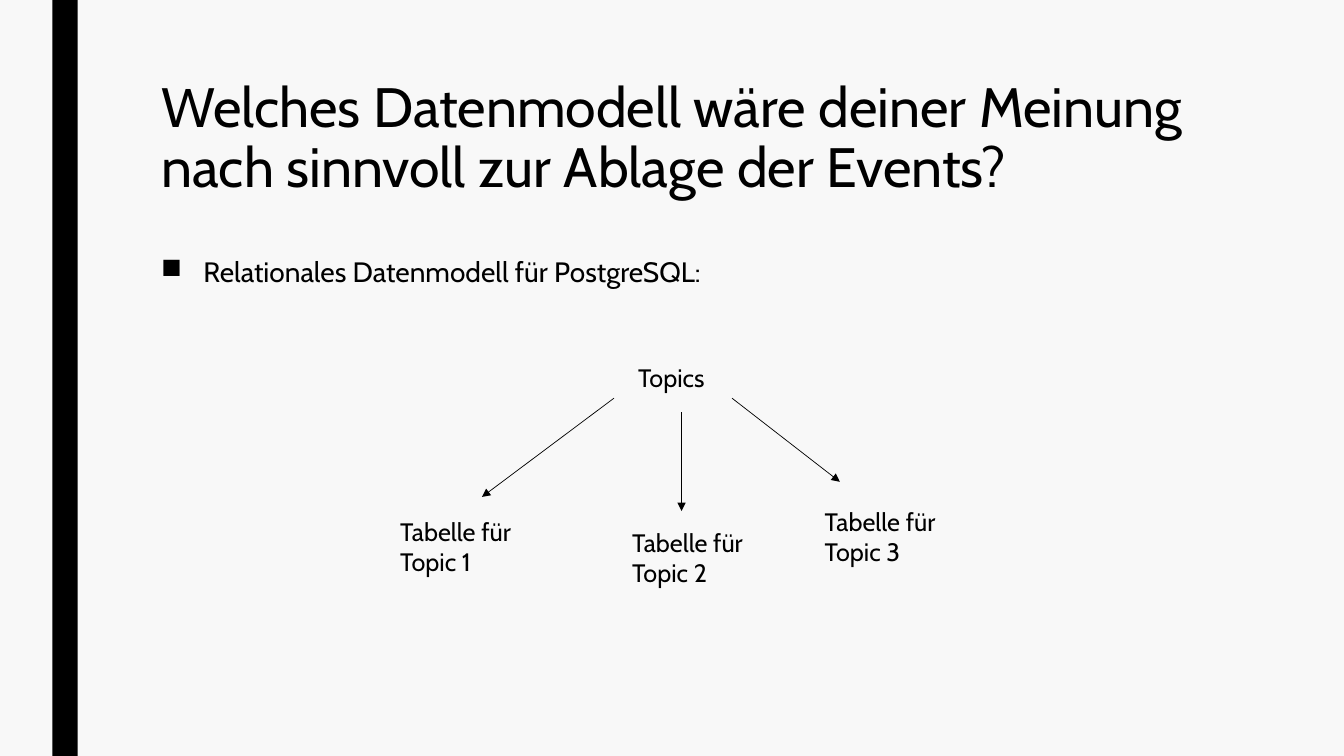
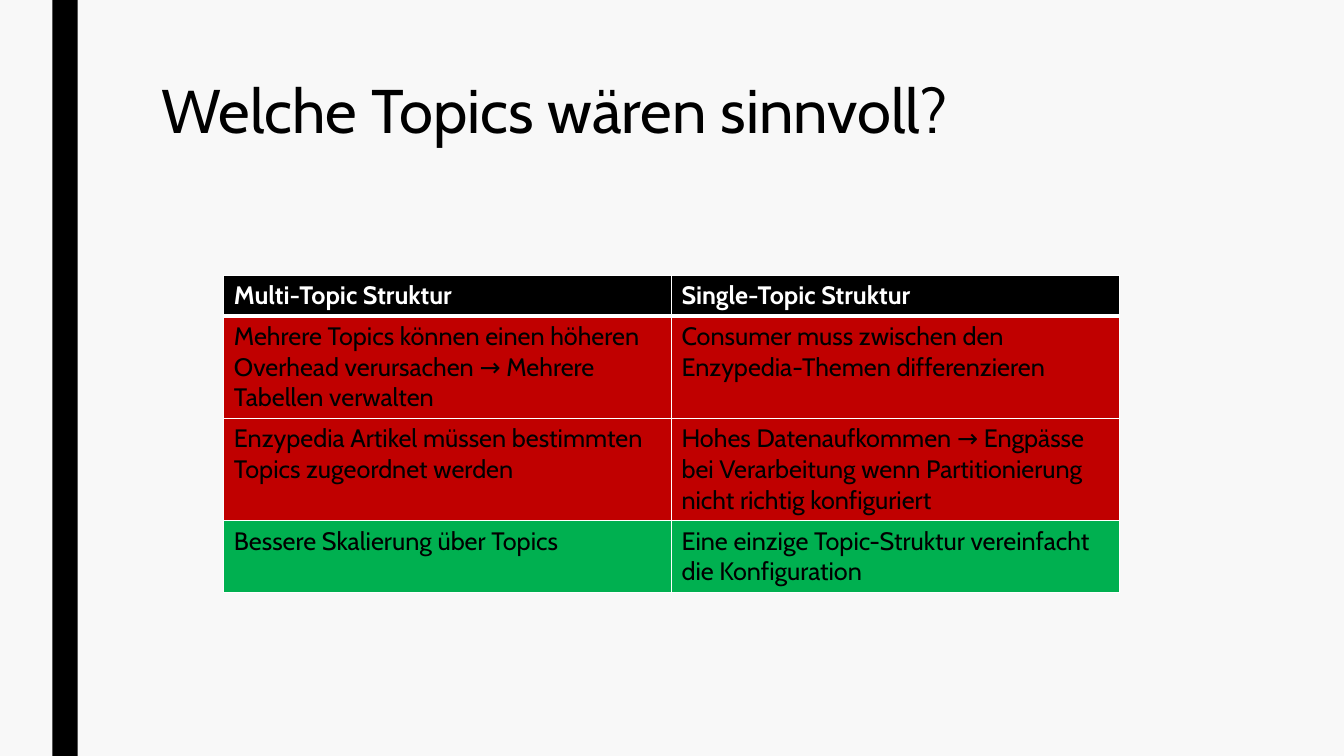
from pptx import Presentation
from pptx.dml.color import RGBColor
from pptx.enum.shapes import MSO_CONNECTOR as Connector, MSO_SHAPE as Preset
from pptx.enum.text import MSO_ANCHOR as Anchor, MSO_AUTO_SIZE as AutoSize, PP_ALIGN as Align
from pptx.oxml.ns import qn
from pptx.util import Inches, Pt
from lxml.etree import SubElement

COLORS = {"paper": "F8F8F8", "ink": "000000", "white": "FFFFFF",
          "con": "C00000", "pro": "00B050"}
FONT = "Cabin"


def color(name):
    return RGBColor.from_string(COLORS[name])


def apply(target, **values):
    for name, value in values.items():
        setattr(target, name, value)


class Deck:
    """Holds the shared style and the current slide."""

    def __init__(self):
        self.deck = Presentation()
        apply(self.deck, slide_width=Inches(13.33), slide_height=Inches(7.5))
        fill = self.deck.slide_master.background.fill
        fill.solid()
        fill.fore_color.rgb = color("paper")
        self.page = None

    def style(self, font, size, ink="ink", bold=False):
        apply(font, name=FONT, size=Pt(size), bold=bold)
        font.color.rgb = color(ink)

    def add_page(self, title, size=44):
        self.page = self.deck.slides.add_slide(self.deck.slide_layouts[5])
        # Side band
        band = self.page.shapes.add_shape(
            Preset.RECTANGLE, Inches(0.52), 0, Inches(0.25), self.deck.slide_height)
        band.shadow.inherit = False
        band.fill.solid()
        band.fill.fore_color.rgb = color("ink")
        band.line.fill.background()
        # Title
        box = self.page.shapes.title
        apply(box, left=Inches(1.5), top=Inches(0.75),
              width=Inches(10.5), height=Inches(1.62))
        frame = box.text_frame
        apply(frame, text=title, word_wrap=True,
              vertical_anchor=Anchor.TOP, auto_size=AutoSize.NONE)
        para = frame.paragraphs[0]
        apply(para, alignment=Align.LEFT, line_spacing=0.89)
        self.style(para.font, size)

    def add_text(self, text, left, top, width, height, size=18, bullet=None):
        box = self.page.shapes.add_textbox(
            Inches(left), Inches(top), Inches(width), Inches(height))
        apply(box.text_frame, text=text, word_wrap=True)
        para = box.text_frame.paragraphs[0]
        if bullet:
            para.line_spacing = 0.94
            props = para._p.get_or_add_pPr()
            props.set("marL", str(Inches(0.42)))
            props.set("indent", str(-Inches(0.42)))
            SubElement(props, qn("a:buChar"), char=bullet)
        self.style(para.font, size)

    def add_arrow(self, start, end):
        arrow = self.page.shapes.add_connector(
            Connector.STRAIGHT, *(Inches(value) for value in start + end))
        arrow.line.width = Pt(0.5)
        arrow.line.color.rgb = color("ink")
        SubElement(arrow.line._get_or_add_ln(), qn("a:tailEnd"), type="triangle")
        SubElement(arrow._element.spPr, qn("a:effectLst"))

    def add_borders(self, cell, **widths):
        props = cell._tc.get_or_add_tcPr()
        for side in "LRTB":
            line = SubElement(props, qn(f"a:ln{side}"), w=str(Pt(widths.get(side, 1))))
            fill = SubElement(line, qn("a:solidFill"))
            SubElement(fill, qn("a:srgbClr"), val=COLORS["white"])

    def add_table(self, rows, left, top, column_width):
        """Each row is (fill, height, texts); the first one is the header."""
        count = len(rows[0][2])
        height = sum(row[1] for row in rows)
        table = self.page.shapes.add_table(
            len(rows), count, Inches(left), Inches(top),
            Inches(column_width * count), Inches(height)).table
        for column in table.columns:
            column.width = Inches(column_width)
        for index, (fill, row_height, texts) in enumerate(rows):
            table.rows[index].height = Inches(row_height)
            header = index == 0
            for cell, text in zip(table.rows[index].cells, texts):
                cell.text = text
                self.add_borders(cell, T=3 if index == 1 else 1, B=3 if header else 1)
                cell.fill.solid()
                cell.fill.fore_color.rgb = color(fill)
                self.style(cell.text_frame.paragraphs[0].font, 18,
                           "white" if header else "ink", header)


def main():
    deck = Deck()

    # Data model: one table per topic
    deck.add_page("Welches Datenmodell wäre deiner Meinung nach sinnvoll "
                  "zur Ablage der Events?", 39.6)
    deck.add_text("Relationales Datenmodell für PostgreSQL:",
                  1.5, 2.5, 10.5, 3.92, size=20, bullet="■")
    deck.add_text("Topics", 6.23, 3.55, 0.9, 0.4)
    branches = [
        ((6.09, 3.95), (4.78, 4.93), (3.87, 5.07)),
        ((6.76, 4.09), (6.76, 5.07), (6.17, 5.18)),
        ((7.26, 3.95), (8.33, 4.78), (8.08, 4.97)),
    ]
    for number, (start, end, corner) in enumerate(branches, 1):
        deck.add_arrow(start, end)
        deck.add_text(f"Tabelle für\vTopic {number}", *corner, 1.38, 0.71)

    # Comparison of topic structures
    deck.add_page("Welche Topics wären sinnvoll?")
    deck.add_table([
        ("ink", 0.4, ["Multi-Topic Struktur", "Single-Topic Struktur"]),
        ("con", 1.01, [
            "Mehrere Topics können einen höheren Overhead verursachen → "
            "Mehrere Tabellen verwalten",
            "Consumer muss zwischen den Enzypedia-Themen differenzieren"]),
        ("con", 1.01, [
            "Enzypedia Artikel müssen bestimmten Topics zugeordnet werden",
            "Hohes Datenaufkommen → Engpässe bei Verarbeitung wenn "
            "Partitionierung nicht richtig konfiguriert"]),
        ("pro", 0.7, [
            "Bessere Skalierung über Topics",
            "Eine einzige Topic-Struktur vereinfacht die Konfiguration"]),
    ], 2.22, 2.73, 4.44)

    deck.deck.save("out.pptx")


if __name__ == "__main__":
    main()
